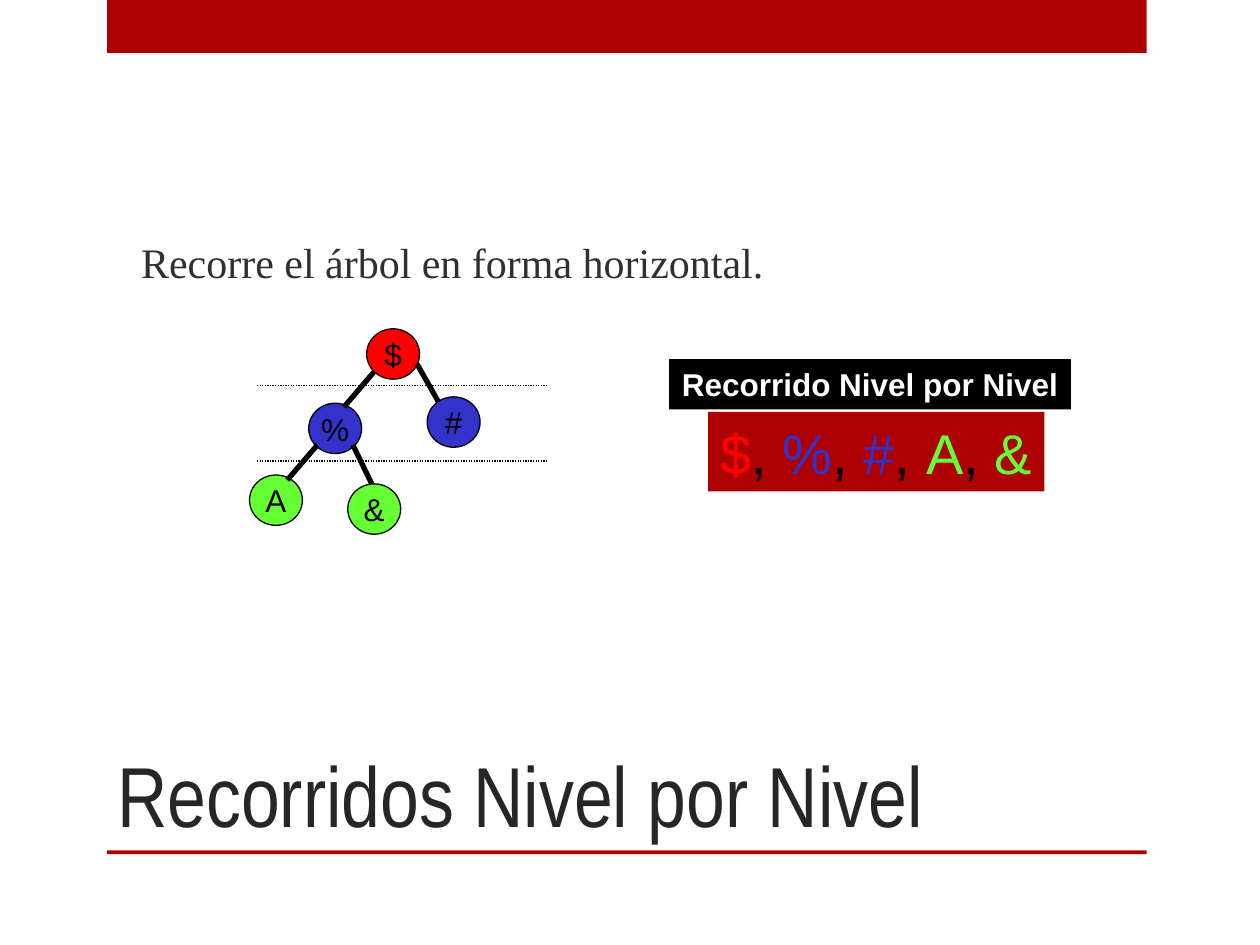
"""Build a slide on level-by-level tree traversal."""
from lxml.etree import SubElement
from pptx import Presentation
from pptx.dml.color import RGBColor
from pptx.enum.dml import MSO_LINE
from pptx.enum.shapes import MSO_CONNECTOR, MSO_SHAPE
from pptx.enum.text import MSO_ANCHOR, MSO_AUTO_SIZE, PP_ALIGN
from pptx.oxml.ns import qn
from pptx.util import Inches, Pt

BLACK = RGBColor(0x00, 0x00, 0x00)
WHITE = RGBColor(0xFF, 0xFF, 0xFF)
CRIMSON = RGBColor(0xAD, 0x01, 0x01)
RED = RGBColor(0xFF, 0x00, 0x00)
BLUE = RGBColor(0x33, 0x33, 0xCC)
GREEN = RGBColor(0x66, 0xFF, 0x33)
TITLE_GREY = RGBColor(0x26, 0x26, 0x26)
BODY_GREY = RGBColor(0x30, 0x30, 0x30)

prs = Presentation()
prs.slide_width, prs.slide_height = Inches(10), Inches(7.5)
slide = prs.slides.add_slide(prs.slide_layouts[1])


def share(*percents):
    """Turn alternating x and y percentages of the slide into lengths."""
    sides = (prs.slide_width, prs.slide_height)
    return [int(sides[i % 2] * n / 100) for i, n in enumerate(percents)]


def write(s, text, size, color, font="Arial", bold=False,
          align=PP_ALIGN.CENTER, anchor=MSO_ANCHOR.MIDDLE, wrap=False):
    """Append a formatted run to the first paragraph of a shape."""
    tf = s.text_frame
    tf.auto_size = MSO_AUTO_SIZE.NONE
    tf.word_wrap, tf.vertical_anchor = wrap, anchor
    p = tf.paragraphs[0]
    p.alignment = align
    r = p.add_run()
    r.text = text
    r.font.name, r.font.size, r.font.bold = font, Pt(size), bold
    r.font.color.rgb = color
    return p


title, body = slide.placeholders
title.left, title.top, title.width, title.height = share(8.3, 66.67, 74.2, 23.33)
write(title, "Recorridos Nivel por Nivel", 48.6, TITLE_GREY, font="Arial Narrow",
      align=PP_ALIGN.LEFT, anchor=MSO_ANCHOR.BOTTOM, wrap=True)
body.left, body.top, body.width, body.height = share(10.2, 10.67, 82.5, 34)
p = write(body, "Recorre el árbol en forma horizontal.", 24, BODY_GREY,
          font="Times New Roman", align=PP_ALIGN.LEFT, wrap=True)
pPr = p._p.get_or_add_pPr()
pPr.set("marL", "0")
pPr.set("indent", "0")
SubElement(pPr, qn("a:buNone"))

panels = {}
for name, color, area in [
    ("top band", CRIMSON, (8.5, 0, 82.5, 5.6)),
    ("bottom rule", CRIMSON, (8.5, 90, 82.5, 0.4)),
    ("sequence", CRIMSON, (56.2, 43.6, 26.7, 8.4)),
    ("heading", BLACK, (53.1, 38, 31.9, 5.33)),
]:
    s = slide.shapes.add_shape(MSO_SHAPE.RECTANGLE, *share(*area))
    s.shadow.inherit = False
    s.fill.solid()
    s.fill.fore_color.rgb = color
    s.line.fill.background()
    panels[name] = s
write(panels["heading"], "Recorrido Nivel por Nivel", 18, WHITE, bold=True)

nodes = [
    ("$", RED, 29.1, 34.8),
    ("%", BLUE, 24.5, 42.67),
    ("#", BLUE, 33.9, 42),
    ("A", GREEN, 19.8, 50.27),
    ("&", GREEN, 27.6, 51.2),
]
for i, (symbol, color, x, y) in enumerate(nodes):
    s = slide.shapes.add_shape(MSO_SHAPE.OVAL, *share(x, y, 4.2, 5.33))
    s.shadow.inherit = False
    s.fill.solid()
    s.fill.fore_color.rgb = color
    s.line.color.rgb, s.line.width = BLACK, Pt(0.75)
    write(s, symbol, 18, BLACK)
    if i:
        write(panels["sequence"], ", ", 32, BLACK)
    write(panels["sequence"], symbol, 32, color)

edges = [
    (29.7, 39.33, 27.3, 43.07),
    (25.2, 47.07, 22.8, 50.8),
    (33.1, 38.53, 34.8, 42.53),
    (28, 47.07, 29.5, 51.2),
]
levels = [(20.4, y, 43.4, y) for y in (40.8, 48.8)]
for ends in edges + levels:
    s = slide.shapes.add_connector(MSO_CONNECTOR.STRAIGHT, *share(*ends))
    s.line.color.rgb, s.line.width = BLACK, Pt(3)
    if ends in levels:
        s.line.width, s.line.dash_style = Pt(0.75), MSO_LINE.ROUND_DOT
    SubElement(s._element.spPr, qn("a:effectLst"))

prs.save("out.pptx")
